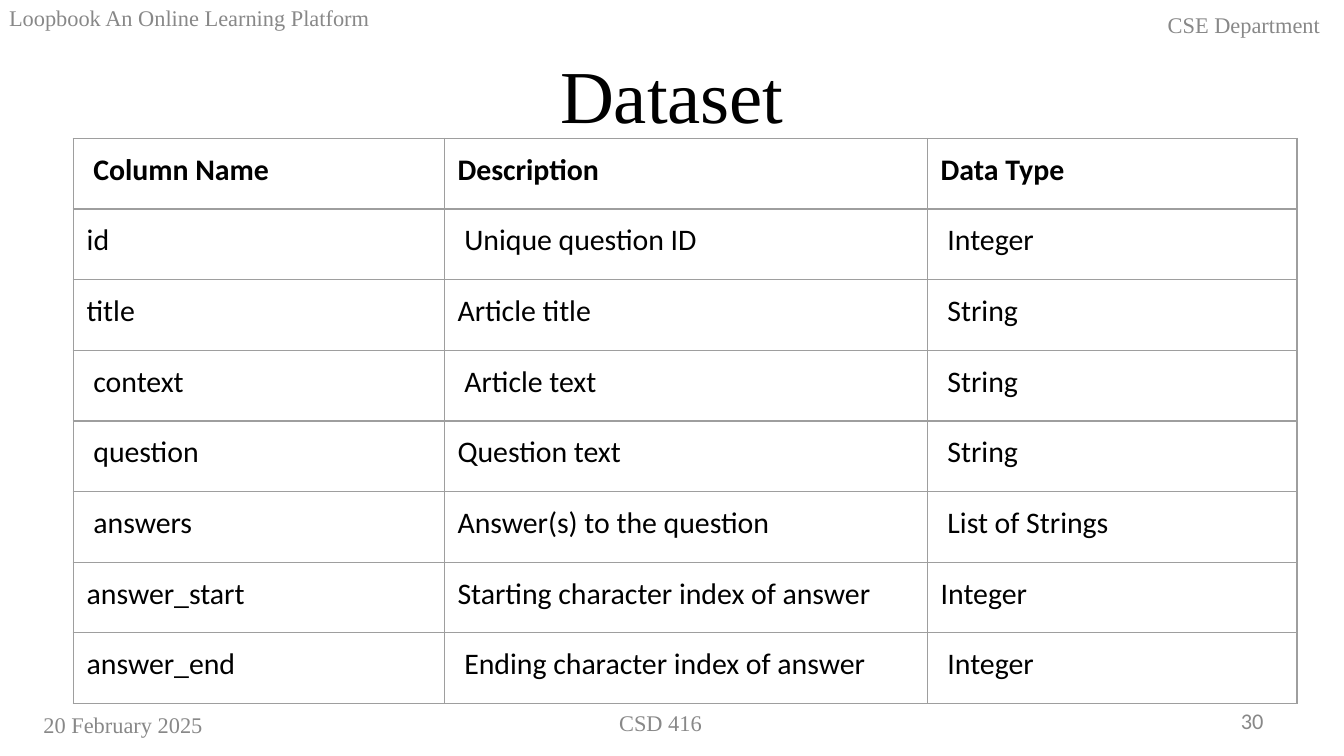
from lxml.etree import SubElement
from pptx import Presentation
from pptx.dml.color import RGBColor
from pptx.enum.text import MSO_ANCHOR as Anchor, PP_ALIGN as Align
from pptx.oxml.ns import qn
from pptx.util import Pt

EMU_PER_PX = 4572  # 200 px to the inch


def px(length):
    return length * EMU_PER_PX


def color(value):
    return RGBColor.from_string(value)


class Slide:
    serif = "Times New Roman"
    sans = "Calibri"
    ink = "000000"
    muted = "888888"
    rule = "9E9E9E"

    def __init__(self, deck):
        self.page = deck.slides.add_slide(deck.slide_layouts[6])
        self.page.background.fill.solid()
        self.page.background.fill.fore_color.rgb = color("FFFFFF")

    def style(self, para, size, name, ink, bold=False):
        for span in para.runs:
            span.font.size = Pt(size)
            span.font.name = name
            span.font.bold = bold
            span.font.color.rgb = color(ink)

    def text(self, words, left, top, width, height, align=Align.LEFT,
             size=12, name=serif, ink=muted):
        box = self.page.shapes.add_textbox(*map(px, (left, top, width, height)))
        frame = box.text_frame
        frame.word_wrap = True
        frame.vertical_anchor = Anchor.MIDDLE
        frame.text = words
        para = frame.paragraphs[0]
        para.alignment = align
        self.style(para, size, name, ink)

    def border(self, cell):
        properties = cell._tc.get_or_add_tcPr()
        for index, side in enumerate(("a:lnL", "a:lnR", "a:lnT", "a:lnB")):
            line = properties.makeelement(qn(side), {"w": str(Pt(0.75))})
            properties.insert(index, line)
            fill = SubElement(line, qn("a:solidFill"))
            SubElement(fill, qn("a:srgbClr"), val=self.rule)

    def table(self, rows, left, top, widths, height):
        frame = self.page.shapes.add_table(
            len(rows), len(widths), px(left), px(top), px(sum(widths)), px(height))
        grid = frame.table
        for column, width in zip(grid.columns, widths):
            column.width = px(width)
        for row_index, row in enumerate(rows):
            for column_index, words in enumerate(row):
                cell = grid.cell(row_index, column_index)
                cell.fill.background()
                cell.margin_left = cell.margin_right = px(20)
                cell.margin_top = cell.margin_bottom = px(20)
                cell.text = words
                self.style(cell.text_frame.paragraphs[0], 16, self.sans,
                           self.ink, bold=row_index == 0)
                self.border(cell)


def main():
    deck = Presentation()
    deck.slide_width, deck.slide_height = px(2000), px(1125)
    slide = Slide(deck)

    # Header and title
    slide.text("CSE Department", 1718, 6, 634, 60)
    slide.text("Loopbook An Online Learning Platform", -114, -4, 792, 60, Align.CENTER)
    slide.text("Dataset", 100, 46, 1800, 188, Align.CENTER, size=40, ink=slide.ink)

    # Dataset columns
    rows = [
        (" Column Name", "Description", "Data Type"),
        ("id", " Unique question ID", " Integer"),
        ("title", "Article title", " String"),
        (" context", " Article text", " String"),
        (" question", "Question text", " String"),
        (" answers", "Answer(s) to the question", " List of Strings"),
        ("answer_start", "Starting character index of answer", "Integer"),
        ("answer_end", " Ending character index of answer", " Integer"),
    ]
    slide.table(rows, 109, 206, (552, 719, 550), 841)

    # Footer
    slide.text("20 February 2025", 45, 1048, 466, 60)
    slide.text("CSD 416", 666, 1046, 634, 60, Align.CENTER)
    slide.text("30", 1434, 1043, 466, 60, Align.RIGHT, name=slide.sans)

    deck.save("out.pptx")


if __name__ == "__main__":
    main()
